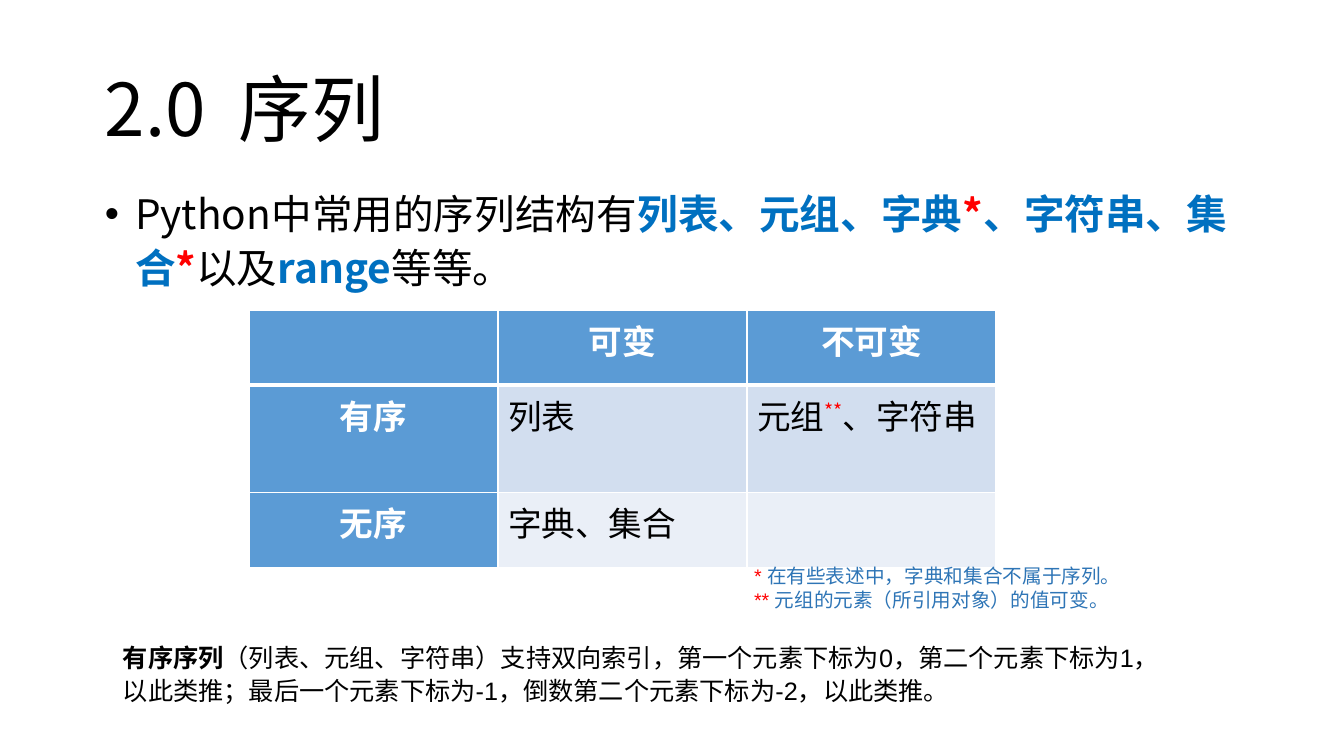
from lxml import etree
from pptx import Presentation
from pptx.dml.color import RGBColor
from pptx.enum.text import MSO_ANCHOR, MSO_AUTO_SIZE, PP_ALIGN
from pptx.oxml.ns import qn
from pptx.util import Inches, Pt

LEFT, CENTER = PP_ALIGN.LEFT, PP_ALIGN.CENTER
TOP, MIDDLE = MSO_ANCHOR.TOP, MSO_ANCHOR.MIDDLE
NO_FIT = MSO_AUTO_SIZE.NONE
FIT_SHAPE = MSO_AUTO_SIZE.SHAPE_TO_FIT_TEXT

BLACK = RGBColor(0x00, 0x00, 0x00)
WHITE = RGBColor(0xFF, 0xFF, 0xFF)
RED = RGBColor(0xFF, 0x00, 0x00)
BLUE = RGBColor(0x00, 0x70, 0xC0)
NOTE_BLUE = RGBColor(0x2E, 0x75, 0xB6)
HEADER_FILL = RGBColor(0x5B, 0x9B, 0xD5)
BAND_FILLS = [RGBColor(0xD2, 0xDE, 0xEF), RGBColor(0xEA, 0xEF, 0xF7)]

CJK = "Noto Sans CJK SC"
ARIAL = "Arial"


def add_run(p, text, size, color=BLACK, bold=False, font=CJK, raised=False):
    r = p.add_run()
    r.text = text
    r.font.size = Pt(size)
    r.font.bold = bold
    r.font.color.rgb = color
    r.font.name = font
    rPr = r.font._element
    rPr.find(qn("a:latin")).addnext(etree.Element(qn("a:ea"), typeface=CJK))
    if raised:
        rPr.set("baseline", "30000")


def place(sp, left, top, width, height):
    sp.left, sp.top = Inches(left), Inches(top)
    sp.width, sp.height = Inches(width), Inches(height)


def set_frame(tf, anchor, fit):
    tf.word_wrap = True
    tf.auto_size = fit
    tf.vertical_anchor = anchor


def fill_title(sp, text):
    place(sp, 0.92, 0.4, 11.5, 1.45)
    tf = sp.text_frame
    set_frame(tf, MIDDLE, NO_FIT)
    tf.margin_left = tf.margin_right = Inches(0.12)
    tf.margin_top = tf.margin_bottom = Inches(0.06)
    p = tf.paragraphs[0]
    p.alignment = LEFT
    p.line_spacing = 0.9
    add_run(p, text, 52)


def fill_body(sp, runs):
    place(sp, 0.92, 1.77, 11.5, 4.76)
    tf = sp.text_frame
    set_frame(tf, TOP, NO_FIT)
    tf.margin_left = tf.margin_right = Inches(0.12)
    tf.margin_top = tf.margin_bottom = Inches(0.06)
    p = tf.paragraphs[0]
    p.line_spacing = 1.1
    p.space_before = Pt(8.7)
    pPr = p._p.get_or_add_pPr()
    pPr.set("marL", str(Inches(0.3)))
    pPr.set("indent", str(-Inches(0.3)))
    etree.SubElement(pPr, qn("a:buFont"), typeface=ARIAL)
    etree.SubElement(pPr, qn("a:buChar"), char="•")
    for text, color, bold in runs:
        add_run(p, text, 29, color, bold)


def add_text(slide, box, size, paragraphs, line_spacing=1.0, space_before=0):
    tf = slide.shapes.add_textbox(*map(Inches, box)).text_frame
    set_frame(tf, TOP, FIT_SHAPE)
    for i, runs in enumerate(paragraphs):
        p = tf.add_paragraph() if i else tf.paragraphs[0]
        p.line_spacing = line_spacing
        p.space_before = Pt(space_before)
        for text, color, bold in runs:
            add_run(p, text, size, color, bold, ARIAL)


def set_borders(cell, row):
    tcPr = cell._tc.get_or_add_tcPr()
    widths = {"L": 1, "R": 1, "T": 3 if row == 1 else 1, "B": 3 if row == 0 else 1}
    for side, width in widths.items():
        ln = etree.SubElement(tcPr, qn("a:ln" + side), w=str(Pt(width)))
        fill = etree.SubElement(ln, qn("a:solidFill"))
        etree.SubElement(fill, qn("a:srgbClr"), val=str(WHITE))


def add_sequence_table(slide, rows):
    n_rows, n_cols = len(rows), len(rows[0])
    frame = slide.shapes.add_table(n_rows, n_cols, Inches(2.47), Inches(3.08),
                                   Inches(2.47 * n_cols), Inches(0.74 * n_rows))
    table = frame.table
    table.first_col = True
    for i, row in enumerate(rows):
        table.rows[i].height = Inches(0.74)
        for j, parts in enumerate(row):
            cell = table.cell(i, j)
            header = i == 0 or j == 0
            set_borders(cell, i)
            cell.fill.solid()
            cell.fill.fore_color.rgb = HEADER_FILL if header else BAND_FILLS[i - 1]
            p = cell.text_frame.paragraphs[0]
            p.alignment = CENTER if header else LEFT
            for text in parts:
                raised = text == "**"
                color = RED if raised else WHITE if header else BLACK
                add_run(p, text, 24, color, header, raised=raised)


def main():
    prs = Presentation()
    prs.slide_width, prs.slide_height = Inches(13.33), Inches(7.5)
    slide = prs.slides.add_slide(prs.slide_layouts[1])

    fill_title(slide.shapes.title, "2.0  序列")
    fill_body(slide.placeholders[1], [
        ("Python中常用的序列结构有", BLACK, False),
        ("列表、元组、字典", BLUE, True),
        ("*", RED, True),
        ("、字符串、集合", BLUE, True),
        ("*", RED, True),
        ("以及", BLACK, False),
        ("range", BLUE, True),
        ("等等。", BLACK, False),
    ])
    add_sequence_table(slide, [
        [[], ["可变"], ["不可变"]],
        [["有序"], ["列表"], ["元组", "**", "、字符串"]],
        [["无序"], ["字典、集合"], []],
    ])
    add_text(slide, (1.12, 6.29, 10.7, 0.74), 18, [[
        ("有序序列", BLACK, True),
        ("（列表、元组、字符串）支持双向索引，第一个元素下标为0，"
         "第二个元素下标为1，以此类推；最后一个元素下标为-1，"
         "倒数第二个元素下标为-2，以此类推。", BLACK, False),
    ]], line_spacing=1.1, space_before=5.4)
    add_text(slide, (7.38, 5.55, 4.09, 0.57), 14, [
        [("* ", RED, False),
         ("在有些表述中，字典和集合不属于序列。", NOTE_BLUE, False)],
        [("**", RED, False),
         (" 元组的元素（所引用对象）的值可变。", NOTE_BLUE, False)],
    ])
    prs.save("out.pptx")


main()
